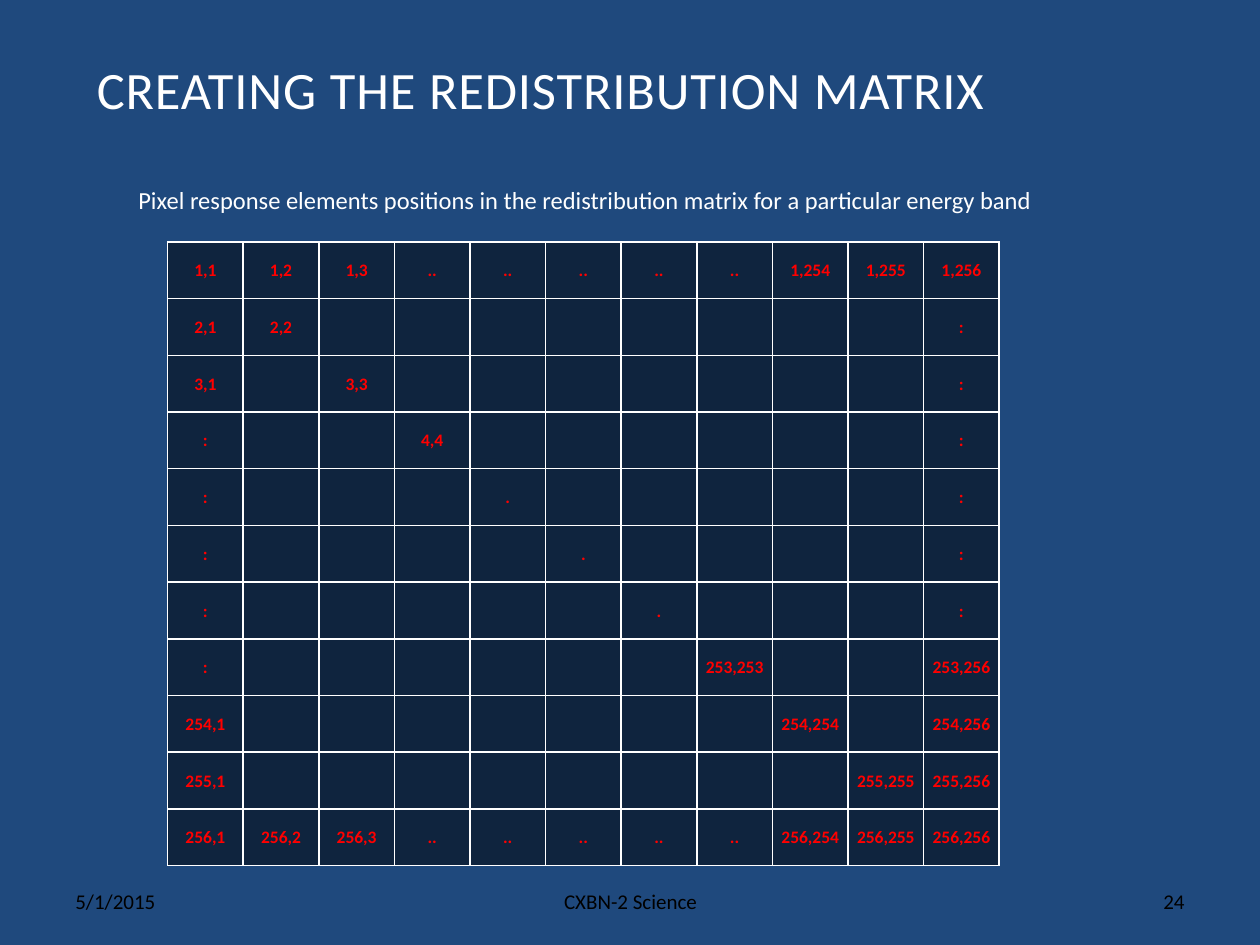
"""Build the slide on creating the redistribution matrix."""
from lxml.etree import SubElement
from pptx import Presentation
from pptx.dml.color import RGBColor
from pptx.enum.text import MSO_ANCHOR as Anchor, PP_ALIGN as Align
from pptx.oxml.ns import qn
from pptx.util import Inches, Pt

COLORS = {"background": "1F497D", "cell": "0F243E", "entry": "FF0000",
          "light": "FFFFFF", "footer": "000000"}
FONT = "Calibri"

TITLE = "CREATING THE REDISTRIBUTION MATRIX"
CAPTION = ("Pixel response elements positions in the redistribution matrix "
           "for a particular energy band")
FOOTERS = [
    ("5/1/2015", 0.5, 2.33, Align.LEFT),
    ("CXBN-2 Science", 3.42, 3.17, Align.CENTER),
    ("24", 7.17, 2.33, Align.RIGHT),
]

TOP_ROW = ["1,1", "1,2", "1,3", "..", "..", "..", "..", "..",
           "1,254", "1,255", "1,256"]
BOTTOM_ROW = ["256,1", "256,2", "256,3", "..", "..", "..", "..", "..",
              "256,254", "256,255", "256,256"]
INNER_ROWS = [
    ("2,1", "2,2", ":"),
    ("3,1", "3,3", ":"),
    (":", "4,4", ":"),
    (":", ".", ":"),
    (":", ".", ":"),
    (":", ".", ":"),
    (":", "253,253", "253,256"),
    ("254,1", "254,254", "254,256"),
    ("255,1", "255,255", "255,256"),
]
COLUMN_WIDTH, ROW_HEIGHT = 0.6, 0.45


def color(name):
    return RGBColor.from_string(COLORS[name])


def style(font, size, color_name, bold=False):
    font.name, font.size, font.bold = FONT, Pt(size), bold
    font.color.rgb = color(color_name)


def add_text(slide, text, box, size, color_name, anchor, align=Align.LEFT):
    frame = slide.shapes.add_textbox(*map(Inches, box)).text_frame
    frame.word_wrap = True
    frame.vertical_anchor = anchor
    frame.text = text
    paragraph = frame.paragraphs[0]
    paragraph.alignment = align
    style(paragraph.runs[0].font, size, color_name)
    return paragraph


def matrix_rows():
    rows = [TOP_ROW]
    for diagonal, (first, middle, last) in enumerate(INNER_ROWS, start=1):
        row = [""] * len(TOP_ROW)
        row[0], row[diagonal], row[-1] = first, middle, last
        rows.append(row)
    return rows + [BOTTOM_ROW]


def add_borders(cell):
    properties = cell._tc.get_or_add_tcPr()
    for side in ("a:lnL", "a:lnR", "a:lnT", "a:lnB"):
        line = SubElement(properties, qn(side), w=str(Pt(1)))
        fill = SubElement(line, qn("a:solidFill"))
        SubElement(fill, qn("a:srgbClr"), val=COLORS["light"])


def fill_cell(cell, text):
    add_borders(cell)
    cell.fill.solid()
    cell.fill.fore_color.rgb = color("cell")
    cell.margin_left = cell.margin_right = cell.margin_top = Inches(0.01)
    cell.margin_bottom = 0
    cell.vertical_anchor = Anchor.MIDDLE
    cell.text = text
    paragraph = cell.text_frame.paragraphs[0]
    paragraph.alignment = Align.CENTER
    for run in paragraph.runs:
        style(run.font, 10, "entry", bold=True)


def add_matrix(slide, left, top):
    rows = matrix_rows()
    count = len(rows)
    matrix = slide.shapes.add_table(
        count, count, Inches(left), Inches(top),
        Inches(COLUMN_WIDTH * count), Inches(ROW_HEIGHT * count)).table
    matrix.first_row = matrix.horz_banding = False
    for column in matrix.columns:
        column.width = Inches(COLUMN_WIDTH)
    for r, row in enumerate(rows):
        matrix.rows[r].height = Inches(ROW_HEIGHT)
        for c, text in enumerate(row):
            fill_cell(matrix.cell(r, c), text)


def main():
    deck = Presentation()
    deck.slide_width, deck.slide_height = Inches(10), Inches(7.5)
    slide = deck.slides.add_slide(deck.slide_layouts[6])
    slide.background.fill.solid()
    slide.background.fill.fore_color.rgb = color("background")

    for text, left, width, align in FOOTERS:
        add_text(slide, text, (left, 6.95, width, 0.4), 12, "footer",
                 Anchor.MIDDLE, align)
    title = add_text(slide, TITLE, (0.67, 0.17, 8.67, 0.83), 30, "light",
                     Anchor.BOTTOM)
    title.runs[0].font._element.set("spc", "50")
    caption = add_text(slide, CAPTION, (0.5, 1.42, 8.67, 4.5), 14, "light",
                       Anchor.TOP)
    caption.level = 1
    caption._p.get_or_add_pPr().set("marL", str(Inches(0.5)))
    add_matrix(slide, 1.33, 1.92)
    deck.save("out.pptx")


if __name__ == "__main__":
    main()
